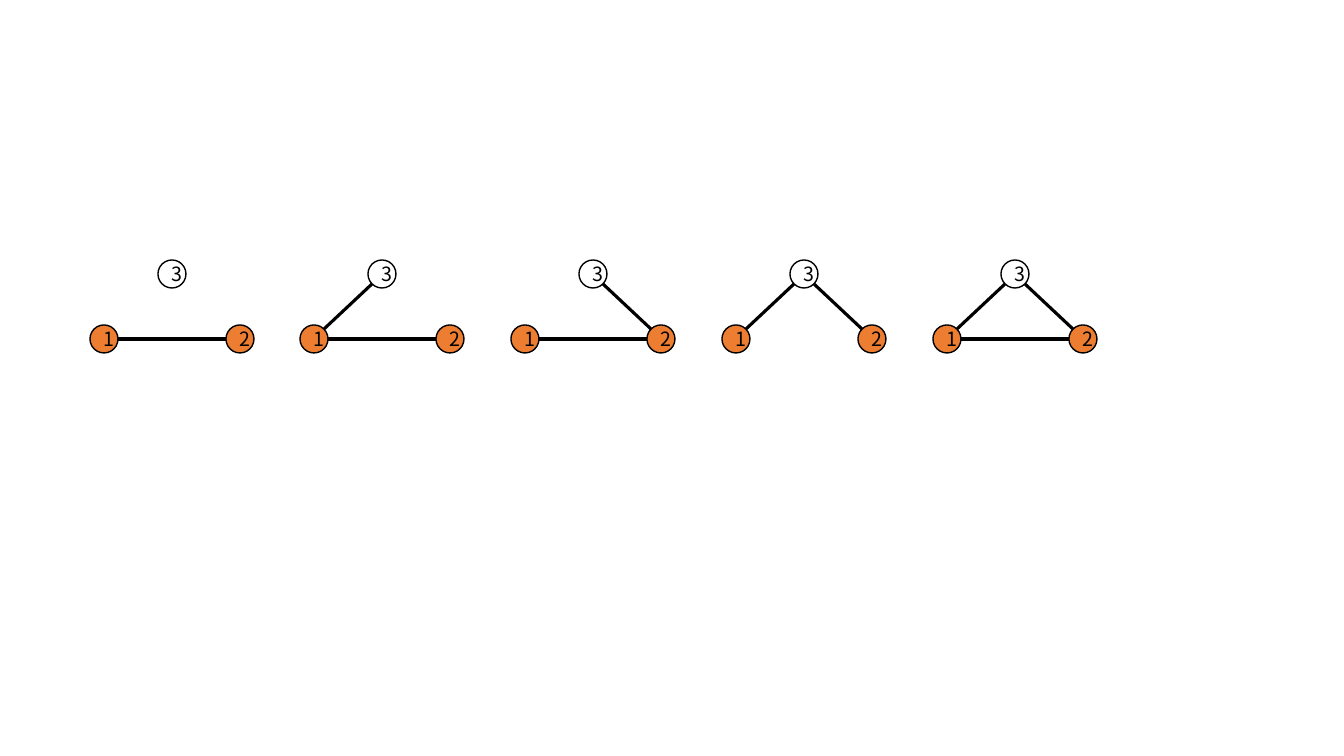
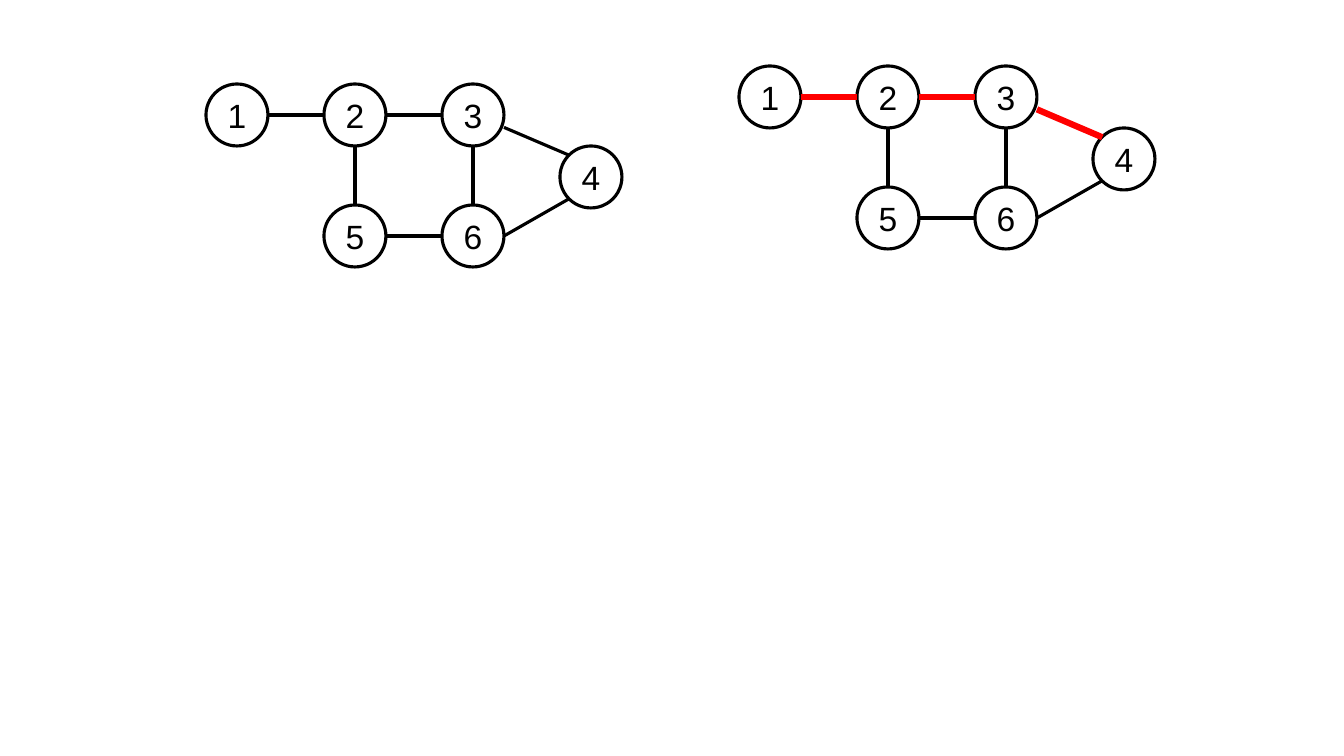
from lxml import etree
from pptx import Presentation
from pptx.dml.color import RGBColor
from pptx.enum.shapes import MSO_CONNECTOR, MSO_SHAPE
from pptx.enum.text import MSO_ANCHOR, PP_ALIGN
from pptx.oxml.ns import qn
from pptx.util import Emu, Pt

OVAL = MSO_SHAPE.OVAL
LINE = MSO_CONNECTOR.STRAIGHT
CENTER = PP_ALIGN.CENTER
MIDDLE = MSO_ANCHOR.MIDDLE

WIDE, HIGH = 1344, 756
BLACK, WHITE, ORANGE, RED = "000000", "FFFFFF", "ED7D31", "FF0000"
THIN, THICK = 2.25, 4.5

SITES = {
    "n": (50, 0), "e": (100, 50), "s": (50, 100), "w": (0, 50),
    "ne": (85, 15), "nw": (15, 15), "sw": (15, 85), "low e": (100, 70),
}

SMALL = {"size": 28, "font": "Noto Sans CJK JP", "text": 14, "rim": 1}
LARGE = {"size": 62, "font": "Arial", "text": 24, "rim": THIN}

TRIO = {"1": (0, 65, ORANGE), "2": (136, 65, ORANGE), "3": (68, 0, WHITE)}
BASE = ("1", "e", "2", "w")
RISE = ("1", "ne", "3", "sw")
FALL = ("2", "nw", "3", (85, 85))
TRIOS = [[BASE], [BASE, RISE], [BASE, FALL], [RISE, FALL], [BASE, RISE, FALL]]

STEP, DROP = 118, 121
NET = {
    "1": (0, 0, None), "2": (STEP, 0, None), "3": (2 * STEP, 0, None),
    "4": (3 * STEP, 62, None),
    "5": (STEP, DROP, None), "6": (2 * STEP, DROP, None),
}
ROUTE = [("1", "e", "2", "w"), ("2", "e", "3", "w"), ("3", "low e", "4", "nw")]
REST = [("2", "s", "5", "n"), ("3", "s", "6", "n"),
        ("6", "e", "4", "sw"), ("5", "e", "6", "w")]


def px(num):
    """Turn pixels into EMU."""
    return Emu(round(num * 12192000 / WIDE))


def color(code):
    """Turn a hex string into a colour."""
    return RGBColor.from_string(code)


def stroke(shape, code, width):
    """Set the line of a shape."""
    shape.line.color.rgb = color(code)
    shape.line.width = Pt(width)


def add_node(shapes, left, top, label, fill, style):
    """Draw one labelled circle."""
    size = px(style["size"])
    node = shapes.add_shape(OVAL, px(left), px(top), size, size)
    node.shadow.inherit = False
    stroke(node, BLACK, style["rim"])
    if fill:
        node.fill.solid()
        node.fill.fore_color.rgb = color(fill)
    else:
        node.fill.background()
    frame = node.text_frame
    frame.text = label
    frame.word_wrap = True
    frame.vertical_anchor = MIDDLE
    para = frame.paragraphs[0]
    para.alignment = CENTER
    font = para.runs[0].font
    font.name = style["font"]
    font.size = Pt(style["text"])
    font.color.rgb = color(BLACK)


def add_edge(shapes, start, end, code, width):
    """Draw one straight edge without a shadow."""
    edge = shapes.add_connector(LINE, *map(px, start + end))
    stroke(edge, code, width)
    etree.SubElement(edge._element.spPr, qn("a:effectLst"))


def add_graph(shapes, left, top, nodes, edges, style, route=()):
    """Draw a graph, with the edges of its route in red."""
    def point(label, site):
        """Find a spot on a node, given in percent of its size."""
        x, y, _ = nodes[label]
        across, down = SITES.get(site, site)
        size = style["size"]
        return left + x + across * size / 100, top + y + down * size / 100

    for label, (x, y, fill) in nodes.items():
        add_node(shapes, left + x, top + y, label, fill, style)
    for edge in edges:
        tail, out, head, into = edge
        look = (RED, THICK) if edge in route else (BLACK, THIN)
        add_edge(shapes, point(tail, out), point(head, into), *look)


def trio_slide(slide, left, top, span):
    """Draw the row of three-node graphs, evenly spaced."""
    gaps = len(TRIOS) - 1
    for i, edges in enumerate(TRIOS):
        group = slide.shapes.add_group_shape()
        add_graph(group.shapes, left + i * span // gaps, top, TRIO, edges, SMALL)


def route_slide(slide):
    """Draw the plain network and the one with its route."""
    edges = ROUTE + REST
    add_graph(slide.shapes, 206, 84, NET, edges, LARGE)
    add_graph(slide.shapes, 739, 66, NET, edges, LARGE, ROUTE)


def main():
    """Build and save the slides."""
    deck = Presentation()
    deck.slide_width, deck.slide_height = px(WIDE), px(HIGH)
    blank = deck.slide_layouts[6]
    trio_slide(deck.slides.add_slide(blank), 90, 260, 843)
    route_slide(deck.slides.add_slide(blank))
    deck.save("out.pptx")


if __name__ == "__main__":
    main()
